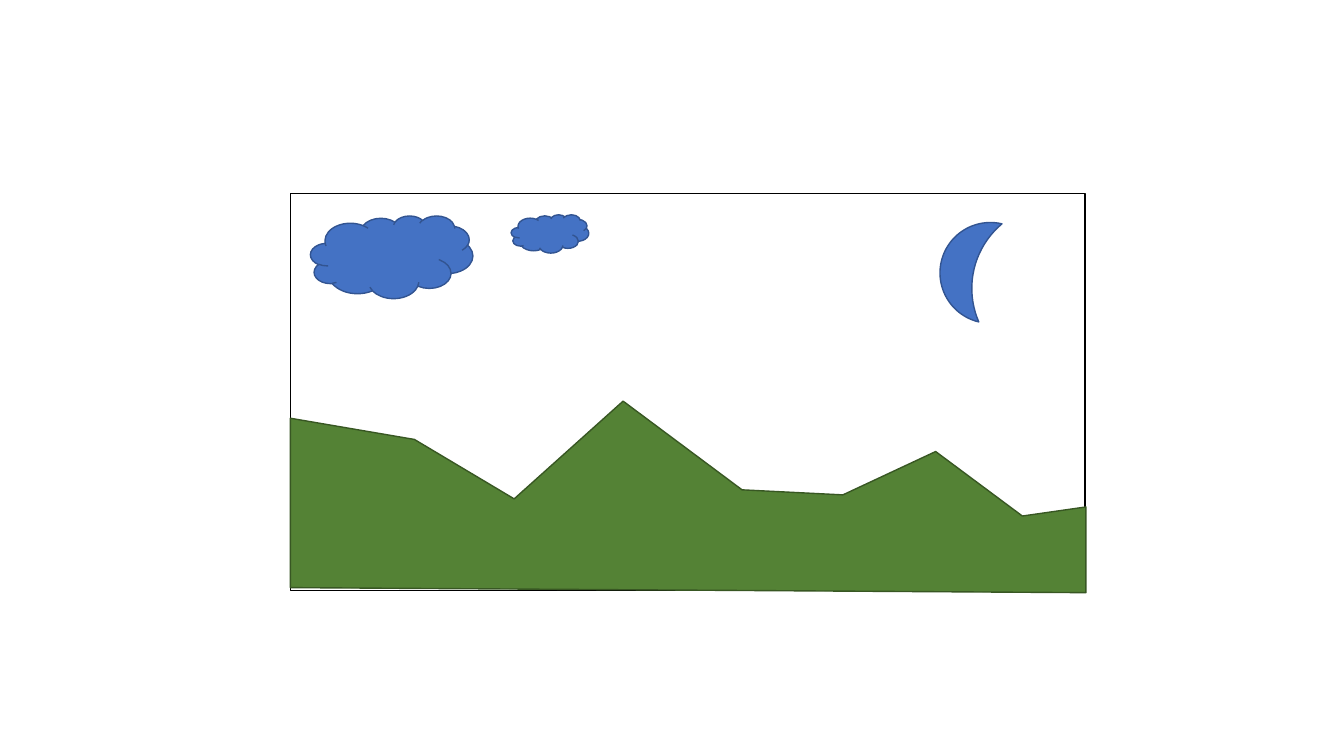
import pptx
import pptx.util
import pptx.dml.color
import pptx.enum.shapes

Inches = pptx.util.Inches
MSO = pptx.enum.shapes.MSO_SHAPE

COLORS = {
    "sky": "FFFFFF", "frame": "000000",
    "hills": "548235", "hills_edge": "385723",
    "blue": "4472C4", "blue_edge": "325491",
}

# Offsets in inches from the top left corner of the landscape
RIDGE = [(0, 2.23), (1.23, 2.44), (2.22, 3.03), (3.3, 2.06), (4.48, 2.94),
         (5.48, 2.99), (6.4, 2.56), (7.26, 3.2), (7.89, 3.11)]
HILL_BASE = [(7.89, 3.96), (0, 3.91)]
CLOUDS = [(0.2, 0.22, 1.61, 0.82), (2.19, 0.21, 0.77, 0.38)]
MOON = (6.45, 0.23, 0.5, 1)


def rgb(name):
    return pptx.dml.color.RGBColor.from_string(COLORS[name])


def paint(sp, fill, edge):
    sp.shadow.inherit = False
    sp.fill.solid()
    sp.fill.fore_color.rgb = rgb(fill)
    sp.line.color.rgb = rgb(edge)
    sp.line.width = pptx.util.Pt(1)


def add_preset(shapes, kind, x, y, w, h, fill, edge):
    sp = shapes.add_shape(kind, Inches(x), Inches(y), Inches(w), Inches(h))
    paint(sp, fill, edge)
    return sp


def add_hills(shapes, x, y):
    points = [(Inches(x + dx), Inches(y + dy)) for dx, dy in RIDGE + HILL_BASE]
    builder = shapes.build_freeform(*points[0])
    builder.add_line_segments(points[1:], close=True)
    paint(builder.convert_to_shape(), "hills", "hills_edge")


def add_sky(shapes, x, y):
    for dx, dy, w, h in CLOUDS:
        add_preset(shapes, MSO.CLOUD, x + dx, y + dy, w, h, "blue", "blue_edge")
    dx, dy, w, h = MOON
    moon = add_preset(shapes, MSO.MOON, x + dx, y + dy, w, h, "blue", "blue_edge")
    moon.adjustments[0] = 0.667
    moon.rotation = 13.3


def add_landscape(s, x, y, w, h):
    shapes = s.shapes.add_group_shape().shapes
    add_preset(shapes, MSO.RECTANGLE, x, y, w, h, "sky", "frame")
    add_hills(shapes, x, y)
    add_sky(shapes, x, y)


def main():
    prs = pptx.Presentation()
    prs.slide_width, prs.slide_height = Inches(13.33), Inches(7.5)
    s = prs.slides.add_slide(prs.slide_layouts[6])
    add_landscape(s, 2.88, 1.92, 7.88, 3.94)
    prs.save("out.pptx")


if __name__ == "__main__":
    main()
